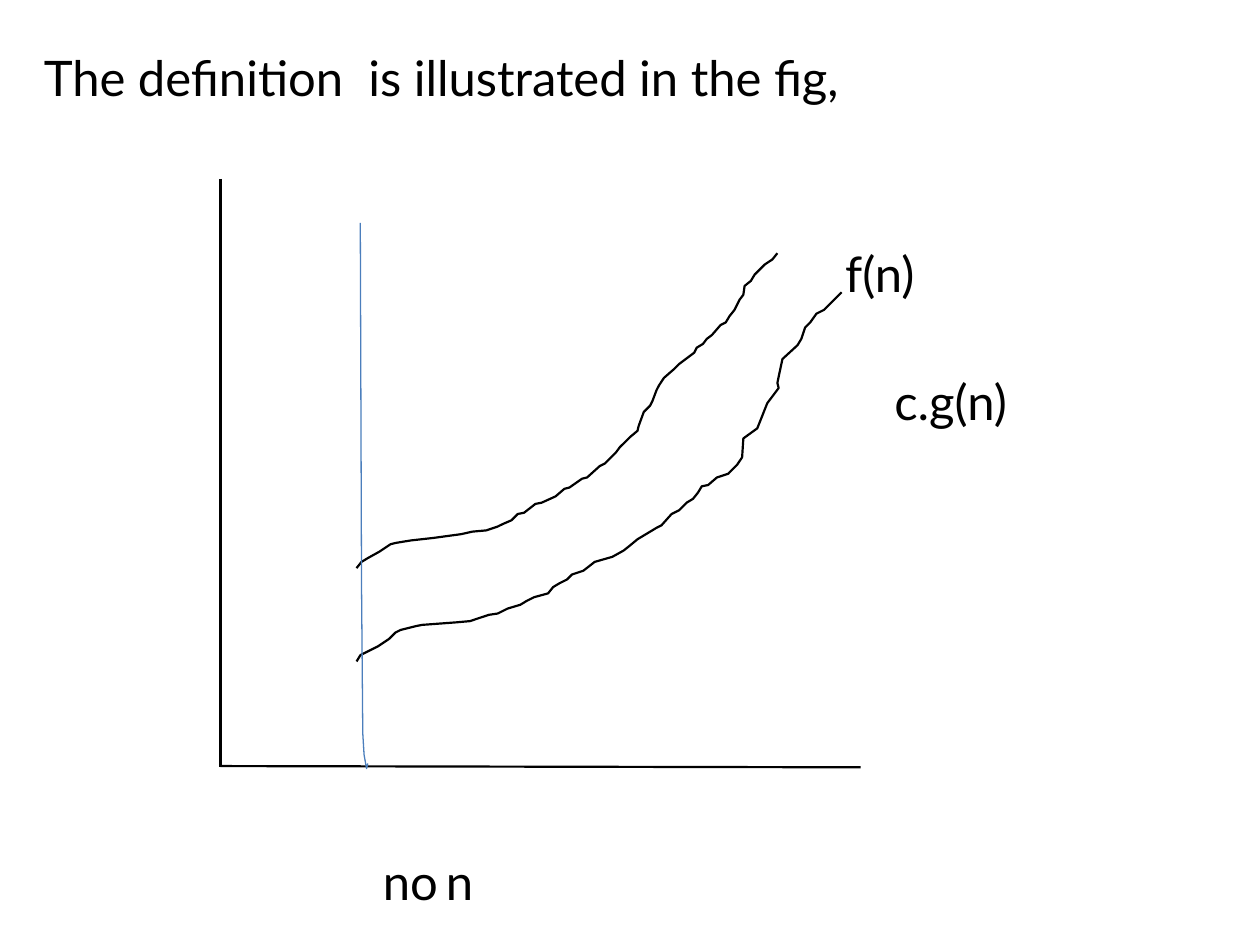
from dataclasses import dataclass

from lxml.etree import SubElement
from pptx import Presentation
from pptx.dml.color import RGBColor
from pptx.enum.shapes import MSO_CONNECTOR
from pptx.enum.text import PP_ALIGN
from pptx.oxml.ns import qn
from pptx.util import Inches, Pt

Point = tuple[float, float]


@dataclass(frozen=True)
class Theme:
    font: str = "Lato"
    size: float = 28
    ink: RGBColor = RGBColor(0x00, 0x00, 0x00)
    marker: RGBColor = RGBColor(0x4B, 0x7E, 0xBC)
    stroke: float = 1.25
    thin_stroke: float = 0.75


@dataclass(frozen=True)
class Label:
    text: str
    indent: float = 0
    space_before: float = 0
    tab: float | None = None


@dataclass(frozen=True)
class Curve:
    points: list[Point]
    color: RGBColor
    width: float


THEME = Theme()

LABELS = [
    Label("The definition  is illustrated in the fig,"),
    Label("f(n)", indent=6.36, space_before=78.4),
    Label("c.g(n)", indent=6.75, space_before=39.2),
    Label("no\tn", indent=2.69, space_before=240.8, tab=6.7),
]

AXES = [((1.75, 1.42), (1.75, 6.09)), ((1.75, 6.08), (6.83, 6.09))]

UPPER_CURVE = [
    (2.83, 4.51), (2.87, 4.46), (2.92, 4.43), (3.01, 4.38), (3.1, 4.32),
    (3.14, 4.31), (3.26, 4.29), (3.44, 4.27), (3.66, 4.24), (3.75, 4.22),
    (3.86, 4.21), (3.95, 4.18), (3.99, 4.16), (4.06, 4.13), (4.11, 4.08),
    (4.16, 4.07), (4.25, 4), (4.3, 3.99), (4.41, 3.94), (4.48, 3.88),
    (4.52, 3.87), (4.62, 3.8), (4.66, 3.79), (4.76, 3.7), (4.8, 3.68),
    (4.89, 3.59), (4.92, 3.55), (5, 3.47), (5.06, 3.42), (5.07, 3.38),
    (5.11, 3.27), (5.16, 3.22), (5.18, 3.18), (5.21, 3.1), (5.23, 3.06),
    (5.27, 3), (5.35, 2.93), (5.39, 2.89), (5.51, 2.8), (5.53, 2.76),
    (5.58, 2.73), (5.61, 2.69), (5.65, 2.66), (5.72, 2.58), (5.76, 2.56),
    (5.79, 2.51), (5.83, 2.46), (5.87, 2.38), (5.9, 2.34), (5.91, 2.27),
    (5.96, 2.23), (5.99, 2.18), (6.07, 2.1), (6.13, 2.06), (6.17, 2.01),
]

LOWER_CURVE = [
    (2.83, 5.25), (2.86, 5.2), (3, 5.13), (3.09, 5.07), (3.14, 5.02),
    (3.18, 5), (3.3, 4.97), (3.35, 4.96), (3.62, 4.94), (3.73, 4.93),
    (3.79, 4.91), (3.88, 4.88), (3.95, 4.87), (4.03, 4.83), (4.13, 4.8),
    (4.18, 4.77), (4.24, 4.74), (4.35, 4.71), (4.39, 4.66), (4.44, 4.63),
    (4.5, 4.6), (4.54, 4.56), (4.63, 4.53), (4.72, 4.46), (4.86, 4.42),
    (4.95, 4.37), (5, 4.33), (5.06, 4.28), (5.21, 4.19), (5.25, 4.17),
    (5.33, 4.08), (5.39, 4.05), (5.45, 3.99), (5.5, 3.96), (5.54, 3.91),
    (5.57, 3.86), (5.62, 3.85), (5.69, 3.79), (5.78, 3.76), (5.85, 3.69),
    (5.89, 3.63), (5.9, 3.48), (6.01, 3.4), (6.09, 3.2), (6.18, 3.08),
    (6.17, 3.04), (6.18, 2.99), (6.21, 2.85), (6.33, 2.74), (6.36, 2.69),
    (6.39, 2.6), (6.43, 2.56), (6.48, 2.49), (6.54, 2.46), (6.68, 2.32),
]

THRESHOLD = [
    (2.86, 1.77), (2.87, 4.65), (2.88, 5.82), (2.89, 5.99), (2.91, 6.1),
    (2.92, 6.06),
]

CURVES = [
    Curve(UPPER_CURVE, THEME.ink, THEME.stroke),
    Curve(LOWER_CURVE, THEME.ink, THEME.stroke),
    Curve(THRESHOLD, THEME.marker, THEME.thin_stroke),
]


def add_labels(slide, labels: list[Label]) -> None:
    frame = slide.shapes.add_textbox(
        Inches(0.25), Inches(0.33), Inches(9.5), Inches(6.83)
    ).text_frame
    frame.word_wrap = True
    for index, label in enumerate(labels):
        paragraph = frame.add_paragraph() if index else frame.paragraphs[0]
        paragraph.text = label.text
        paragraph.alignment = PP_ALIGN.JUSTIFY
        properties = paragraph._p.get_or_add_pPr()
        if label.indent:
            properties.set("marL", str(Inches(label.indent)))
            properties.set("indent", "0")
        if label.space_before:
            paragraph.space_before = Pt(label.space_before)
        if label.tab is not None:
            stops = SubElement(properties, qn("a:tabLst"))
            SubElement(stops, qn("a:tab"), pos=str(Inches(label.tab)), algn="l")
        paragraph.font.name = THEME.font
        paragraph.font.size = Pt(THEME.size)
        paragraph.font.color.rgb = THEME.ink


def add_axis(slide, start: Point, end: Point) -> None:
    axis = slide.shapes.add_connector(
        MSO_CONNECTOR.STRAIGHT, *map(Inches, start + end)
    )
    axis.line.color.rgb = THEME.ink
    axis.line.width = Pt(THEME.stroke)
    SubElement(axis._element.spPr, qn("a:effectLst"))


def add_curve(slide, curve: Curve) -> None:
    start, *rest = [(Inches(x), Inches(y)) for x, y in curve.points]
    builder = slide.shapes.build_freeform(*start)
    builder.add_line_segments(rest, close=False)
    outline = builder.convert_to_shape()
    outline.fill.background()
    outline.line.color.rgb = curve.color
    outline.line.width = Pt(curve.width)
    outline.shadow.inherit = False


def main() -> None:
    presentation = Presentation()
    presentation.slide_width = Inches(10)
    presentation.slide_height = Inches(7.5)
    slide = presentation.slides.add_slide(presentation.slide_layouts[6])
    add_labels(slide, LABELS)
    for start, end in AXES:
        add_axis(slide, start, end)
    for curve in CURVES:
        add_curve(slide, curve)
    presentation.save("out.pptx")


if __name__ == "__main__":
    main()
